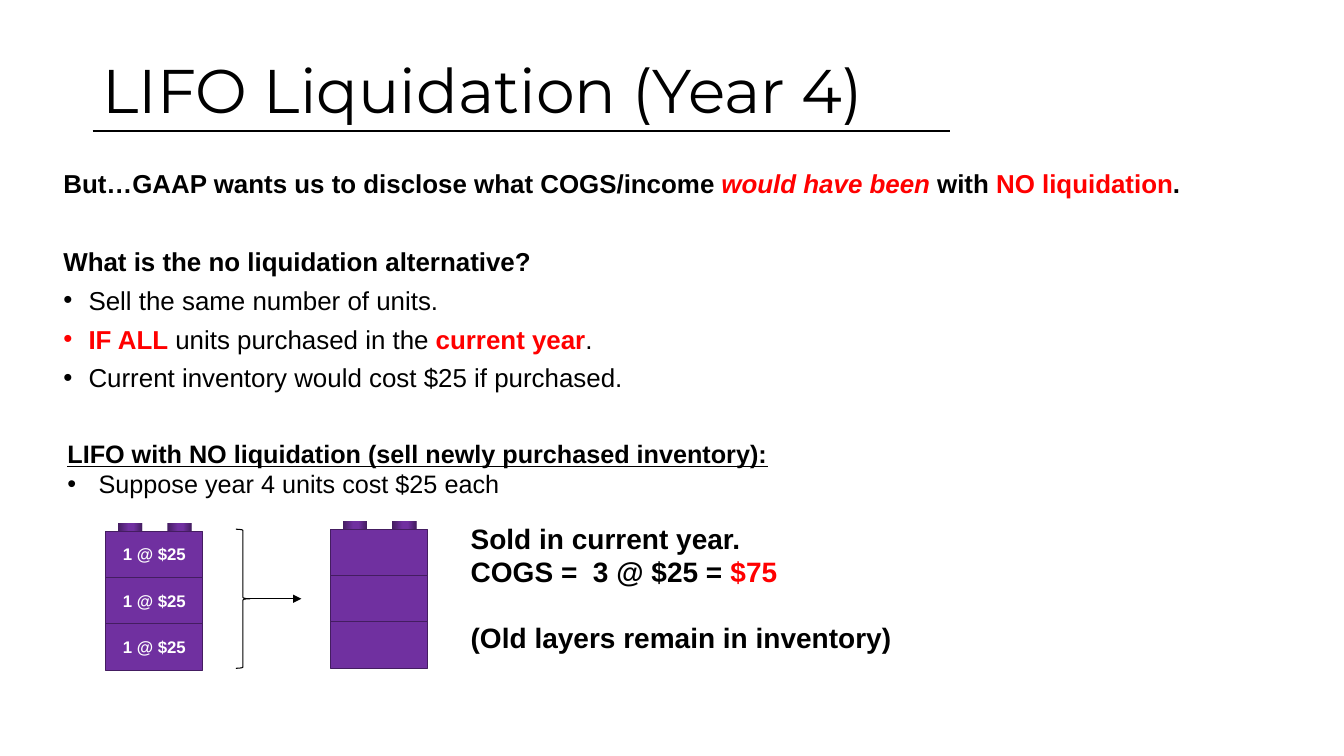
from dataclasses import dataclass
from typing import NamedTuple

from lxml import etree
from pptx import Presentation
from pptx.dml.color import RGBColor
from pptx.enum.shapes import MSO_CONNECTOR, MSO_SHAPE
from pptx.enum.text import MSO_ANCHOR
from pptx.oxml.ns import qn
from pptx.util import Emu, Pt

LINE = MSO_CONNECTOR.STRAIGHT
RECT = MSO_SHAPE.RECTANGLE
BRACE = MSO_SHAPE.RIGHT_BRACE
TOP, MIDDLE = MSO_ANCHOR.TOP, MSO_ANCHOR.MIDDLE

SCALE = 9144
BLACK, RED, WHITE = "000000", "FF0000", "FFFFFF"
PURPLE, DARK = "7030A0", "441D61"
BRICK = (96, 46)
STUD = (24, 9)
BOLD = {"bold": True}
TITLE = {"name": "Montserrat", "size": Pt(44)}
BODY = {"name": "Arial", "size": Pt(18.5)}
NOTE = {"name": "Arial", "size": Pt(18)}
RESULT = {"name": "Arial", "size": Pt(20), "bold": True}
LABEL = {"name": "Arial", "size": Pt(12), "bold": True}


class Run(NamedTuple):
    text: str
    style: dict = {}
    hue: str = BLACK


class Para(NamedTuple):
    runs: list[Run]
    indent: int = 0
    before: float = 0


@dataclass
class Block:
    area: tuple[int, int, int, int]
    base: dict
    paras: list[Para]
    pitch: float = 1.0
    anchor: MSO_ANCHOR = TOP
    wrap: bool = False


@dataclass
class Tower:
    left: int
    top: int
    label: str = ""


class Rule(NamedTuple):
    start: tuple[int, int]
    end: tuple[int, int]
    weight: float
    arrow: bool = False


BLOCKS = [
    Block((53, 167, 1242, 237), BODY, [
        Para([Run("But…GAAP wants us to disclose what COGS/income ", BOLD),
              Run("would have been ", {"bold": True, "italic": True}, RED),
              Run("with ", BOLD),
              Run("NO liquidation", BOLD, RED),
              Run(".", BOLD)]),
        Para([Run("What is the no liquidation alternative?", BOLD)], before=38),
        Para([Run("Sell the same number of units.")], 25, 10),
        Para([Run("IF ALL", BOLD, RED), Run(" units purchased in the "),
              Run("current year", BOLD, RED), Run(".")], 25, 10),
        Para([Run("Current inventory would cost $25 if purchased.")], 25, 10),
    ], pitch=0.8, wrap=True),
    Block((92, 20, 1150, 145), TITLE,
          [Para([Run("LIFO Liquidation (Year 4)")])],
          pitch=0.9, anchor=MIDDLE, wrap=True),
    Block((57, 430, 721, 71), NOTE, [
        Para([Run("LIFO with NO liquidation (sell newly purchased inventory):",
                  {"bold": True, "underline": True})]),
        Para([Run("Suppose year 4 units cost $25 each")], 31),
    ]),
    Block((457, 512, 440, 145), RESULT, [
        Para([Run("Sold in current year.")]),
        Para([Run("COGS =  3 @ $25 = "), Run("$75", hue=RED)]),
        Para([Run("(Old layers remain in inventory)")], before=23),
    ]),
]
TOWERS = [Tower(105, 527, "1 @ $25"), Tower(328, 525)]
RULES = [Rule((92, 130), (942, 130), 1),
         Rule((248, 594), (299, 594), 0.5, True)]


def px(*sizes: int) -> list[Emu]:
    return [Emu(size * SCALE) for size in sizes]


def paint(color, code: str) -> None:
    color.rgb = RGBColor.from_string(code)


def assign(target, values: dict) -> None:
    for key, value in values.items():
        setattr(target, key, value)


def bullet(para, indent: int) -> None:
    props = para._p.get_or_add_pPr()
    props.set("marL", str(indent * SCALE))
    props.set("indent", str(-indent * SCALE))
    etree.SubElement(props, qn("a:buFont")).set("typeface", "Arial")
    etree.SubElement(props, qn("a:buChar")).set("char", "•")


def write(slide, block: Block) -> None:
    frame = slide.shapes.add_textbox(*px(*block.area)).text_frame
    assign(frame, {"word_wrap": block.wrap, "vertical_anchor": block.anchor})
    for index, item in enumerate(block.paras):
        para = frame.add_paragraph() if index else frame.paragraphs[0]
        if item.indent:
            bullet(para, item.indent)
        assign(para, {"line_spacing": block.pitch,
                      "space_before": Pt(item.before)})
        for part in item.runs:
            run = para.add_run()
            run.text = part.text
            assign(run.font, block.base | part.style)
            paint(run.font.color, part.hue)


def rule(slide, item: Rule) -> None:
    line = slide.shapes.add_connector(LINE, *px(*item.start, *item.end))
    paint(line.line.color, BLACK)
    line.line.width = Pt(item.weight)
    if item.arrow:
        edge = line.line._get_or_add_ln()
        etree.SubElement(edge, qn("a:tailEnd")).set("type", "triangle")
    etree.SubElement(line._element.spPr, qn("a:effectLst"))


def stud(slide, left: int, top: int) -> None:
    shape = slide.shapes.add_shape(RECT, *px(left, top, *STUD))
    shape.shadow.inherit = False
    shape.line.fill.background()
    shape.fill.gradient()
    shape.fill.gradient_angle = 0
    stops = shape._element.spPr.find(".//" + qn("a:gsLst"))
    for old in list(stops):
        stops.remove(old)
    for place, code in ((0, DARK), (44, PURPLE), (65, PURPLE), (100, DARK)):
        stop = etree.SubElement(stops, qn("a:gs"))
        stop.set("pos", str(place * 1000))
        etree.SubElement(stop, qn("a:srgbClr")).set("val", code)


def tower(slide, item: Tower) -> None:
    for shift in (12, 61):
        stud(slide, item.left + shift, item.top - 8)
    tops = [item.top + row * BRICK[1] for row in range(3)]
    for top in tops:
        shape = slide.shapes.add_shape(RECT, *px(item.left, top, *BRICK))
        shape.shadow.inherit = False
        shape.fill.solid()
        paint(shape.fill.fore_color, PURPLE)
        paint(shape.line.color, DARK)
        shape.line.width = Pt(0.75)
    if item.label:
        for top in tops:
            write(slide, Block((item.left + 7, top + 8, 83, 30), LABEL,
                               [Para([Run(item.label, hue=WHITE)])]))


def brace(slide) -> None:
    shape = slide.shapes.add_shape(BRACE, *px(234, 525, 14, 138))
    shape.shadow.inherit = False
    shape.fill.background()
    paint(shape.line.color, BLACK)
    shape.line.width = Pt(0.75)


def main() -> None:
    deck = Presentation()
    deck.slide_width, deck.slide_height = px(1333, 750)
    slide = deck.slides.add_slide(deck.slide_layouts[6])
    for item in RULES:
        rule(slide, item)
    for block in BLOCKS:
        write(slide, block)
    brace(slide)
    for item in TOWERS:
        tower(slide, item)
    deck.save("out.pptx")


if __name__ == "__main__":
    main()
